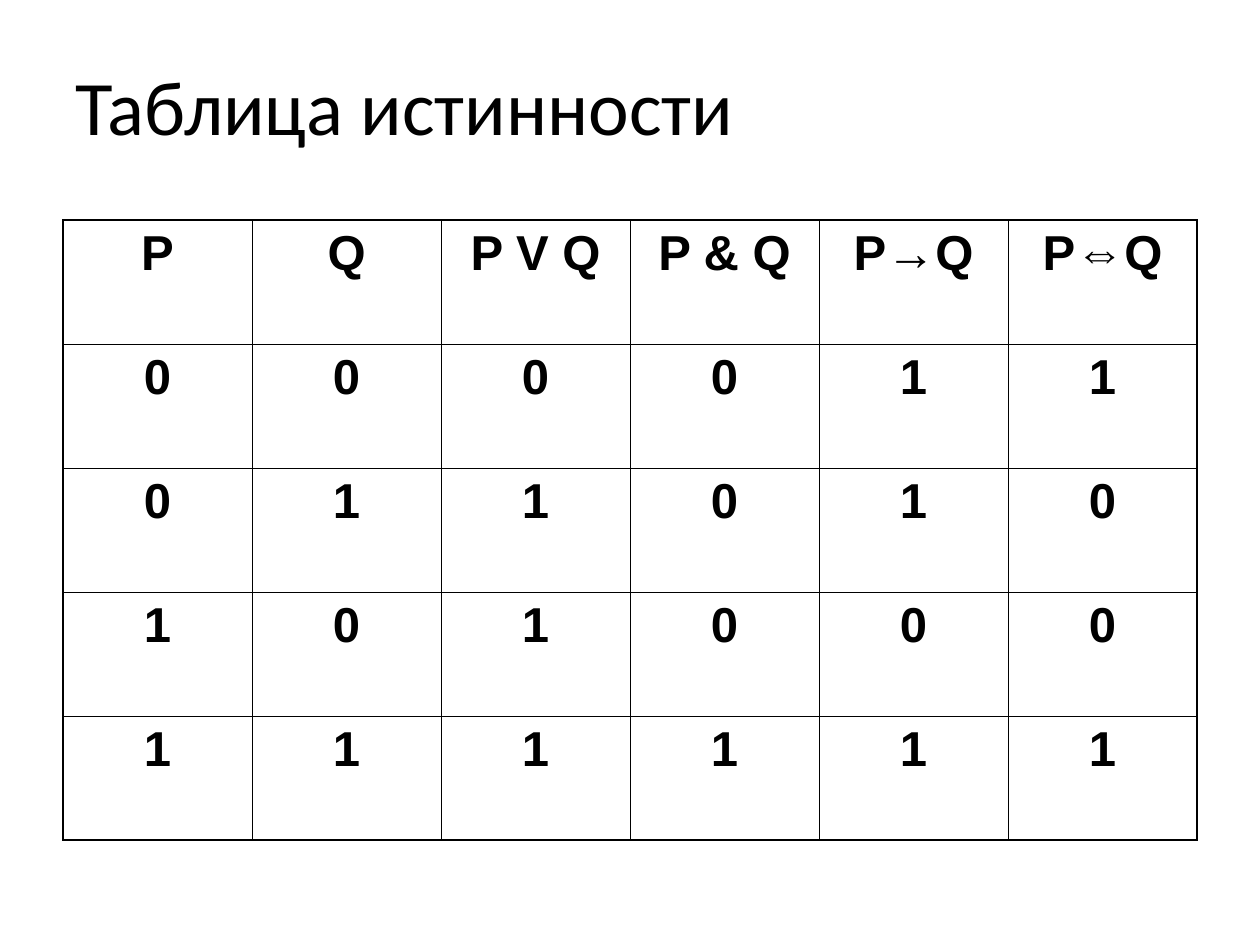
from lxml import etree
from pptx import Presentation
from pptx import util as u
from pptx.dml.color import RGBColor
from pptx.enum import text
from pptx.oxml import ns

SCALE = 914400 / 126
HEADERS = ["P", "Q", "P V Q", "P & Q", "P→Q", "P⇔Q"]
VALUES = ["000011", "011010", "101000", "111111"]


def px(n):
    return u.Emu(round(n * SCALE))


def rgb(value):
    return RGBColor.from_string(value)


class Deck:
    """Holds the style and the current slide."""

    ink = "000000"
    title_font, title_size = "Calibri", 44
    cell_font, cell_size = "Arial", 28
    inner, outer = 0.45, 1.08

    def __init__(self, width, height):
        self.prs = Presentation()
        self.prs.slide_width, self.prs.slide_height = px(width), px(height)
        self.s = self.prs.slides.add_slide(self.prs.slide_layouts[5])

    def run(self, p, words, name, size, bold=False):
        r = p.add_run()
        r.text = words
        r.font.name, r.font.size, r.font.bold = name, u.Pt(size), bold
        r.font.color.rgb = rgb(self.ink)

    def title(self, words, x, y, w, h):
        sp = self.s.shapes.title
        sp.left, sp.top, sp.width, sp.height = px(x), px(y), px(w), px(h)
        tf = sp.text_frame
        tf.vertical_anchor = text.MSO_ANCHOR.MIDDLE
        p = tf.paragraphs[0]
        p.alignment, p.line_spacing = text.PP_ALIGN.LEFT, 0.9
        self.run(p, words, self.title_font, self.title_size)

    def border(self, cell, side, width):
        tcPr = cell._tc.get_or_add_tcPr()
        ln = etree.SubElement(tcPr, ns.qn(f"a:ln{side}"), w=str(u.Pt(width)))
        fill = etree.SubElement(ln, ns.qn("a:solidFill"))
        etree.SubElement(fill, ns.qn("a:srgbClr"), val=self.ink)

    def cell(self, cell, words, edges):
        for side, is_outer in edges.items():
            self.border(cell, side, self.outer if is_outer else self.inner)
        cell.fill.background()
        p = cell.text_frame.paragraphs[0]
        p.alignment, p.space_before = text.PP_ALIGN.CENTER, u.Pt(7)
        self.run(p, words, self.cell_font, self.cell_size, True)

    def table(self, rows, x, y, col_w, row_h):
        n, m = len(rows), len(rows[0])
        frame = self.s.shapes.add_table(n, m, px(x), px(y), px(m * col_w), px(n * row_h))
        tbl = frame.table
        tbl.first_row = tbl.horz_banding = False
        for col in tbl.columns:
            col.width = px(col_w)
        for i, row in enumerate(rows):
            tbl.rows[i].height = px(row_h)
            for j, words in enumerate(row):
                edges = {"L": j == 0, "R": j == m - 1, "T": i == 0, "B": i == n - 1}
                self.cell(tbl.cell(i, j), words, edges)


def main():
    deck = Deck(1260, 945)
    deck.title("Таблица истинности", 63, 32, 1134, 157)
    deck.table([HEADERS, *VALUES], 63, 220, 189, 124)
    deck.prs.save("out.pptx")


if __name__ == "__main__":
    main()
